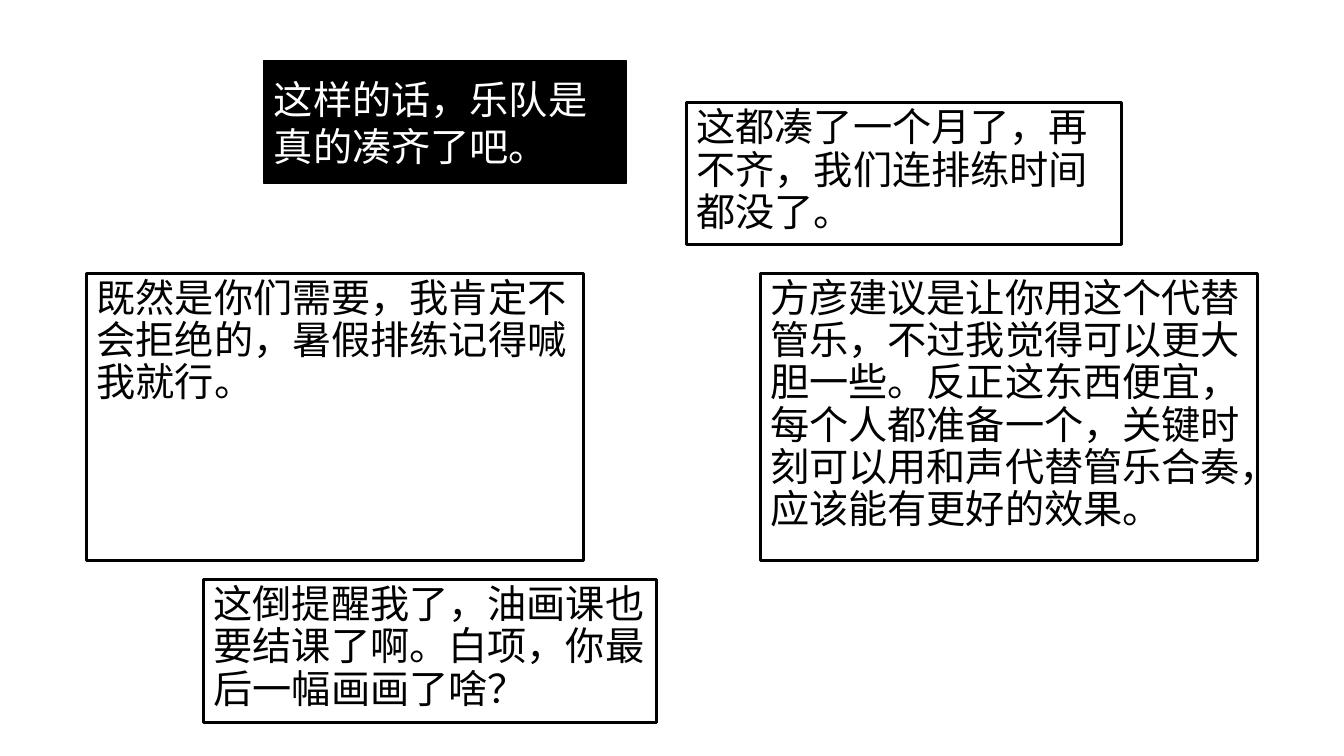
from lxml import etree
from pptx import Presentation
from pptx.dml.color import RGBColor
from pptx.enum.shapes import MSO_SHAPE
from pptx.enum.text import MSO_ANCHOR, PP_ALIGN
from pptx.oxml.ns import qn
from pptx.util import Inches, Pt

RECTANGLE = MSO_SHAPE.RECTANGLE
TOP, MIDDLE = MSO_ANCHOR.TOP, MSO_ANCHOR.MIDDLE
LEFT = PP_ALIGN.LEFT

WIDTH, HEIGHT = Inches(13.33), Inches(7.5)
FONT = "Noto Sans CJK SC"
BLACK, WHITE = "000000", "FFFFFF"

REPLY_ROW, REPLY_WIDTH, REPLY_HEIGHT = 36.13, 36.98, 38
REPLIES = [
    ((56.56, REPLY_ROW, REPLY_WIDTH, REPLY_HEIGHT),
     "方彦建议是让你用这个代替管乐，不过我觉得可以更大胆一些。反正这东西便宜，"
     "每个人都准备一个，关键时刻可以用和声代替管乐合奏，应该能有更好的效果。"),
    ((6.45, REPLY_ROW, REPLY_WIDTH, REPLY_HEIGHT),
     "既然是你们需要，我肯定不会拒绝的，暑假排练记得喊我就行。"),
    ((51.09, 13.6, 32.33, 18.8),
     "这都凑了一个月了，再不齐，我们连排练时间都没了。"),
    ((15.15, 76.67, 33.68, 18.93),
     "这倒提醒我了，油画课也要结课了啊。白项，你最后一幅画画了啥？"),
]
OPENING_AREA = (19.65, 8, 26.93, 16.27)
OPENING = "这样的话，乐队是真的凑齐了吧。"


def color(value):
    return RGBColor.from_string(value)


def place(area):
    left, top, width, height = area
    return [round(share * side / 100) for share, side in
            ((left, WIDTH), (top, HEIGHT), (width, WIDTH), (height, HEIGHT))]


def write(box, text, *, ink=BLACK, size=28, spacing=1.0, anchor=TOP):
    frame = box.text_frame
    frame.word_wrap = True
    frame.vertical_anchor = anchor
    para = frame.paragraphs[0]
    para.alignment = LEFT
    para.line_spacing = spacing
    span = para.add_run()
    span.text = text
    span.font.name = FONT
    span.font.size = Pt(size)
    span.font.color.rgb = color(ink)
    east_asian = etree.SubElement(span.font._element, qn("a:ea"))
    east_asian.set("typeface", FONT)


def add_speech(page, area, text, *, fill=None, border=2.25, **text_format):
    box = page.shapes.add_shape(RECTANGLE, *place(area))
    box.shadow.inherit = False
    if fill:
        box.fill.solid()
        box.fill.fore_color.rgb = color(fill)
    else:
        box.fill.background()
    box.line.color.rgb = color(BLACK)
    box.line.width = Pt(border)
    write(box, text, **text_format)


def main():
    deck = Presentation()
    deck.slide_width, deck.slide_height = WIDTH, HEIGHT
    page = deck.slides.add_slide(deck.slide_layouts[6])
    for area, text in REPLIES:
        add_speech(page, area, text, spacing=0.9)
    add_speech(page, OPENING_AREA, OPENING,
               fill=BLACK, border=1, ink=WHITE, anchor=MIDDLE)
    deck.save("out.pptx")


if __name__ == "__main__":
    main()
